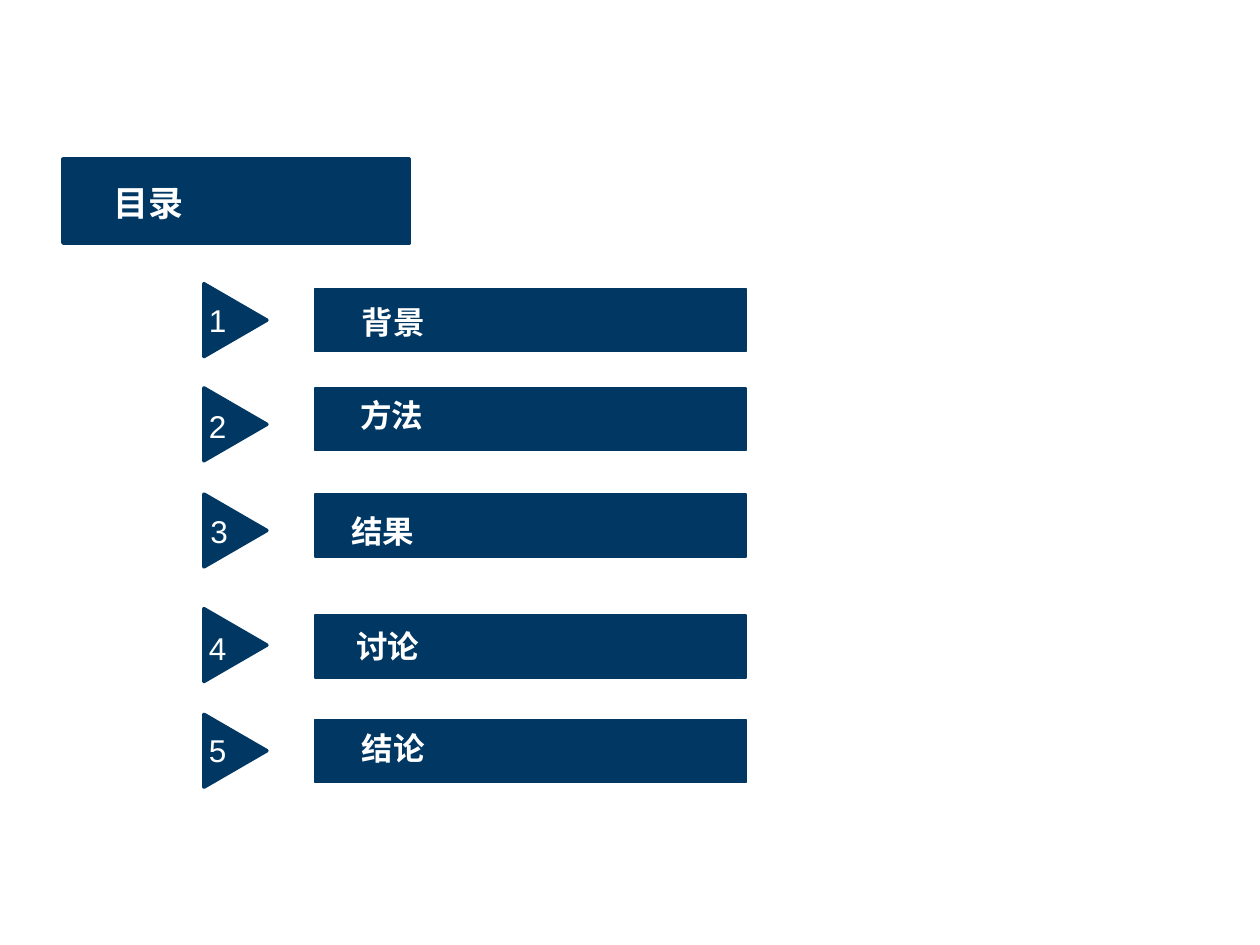
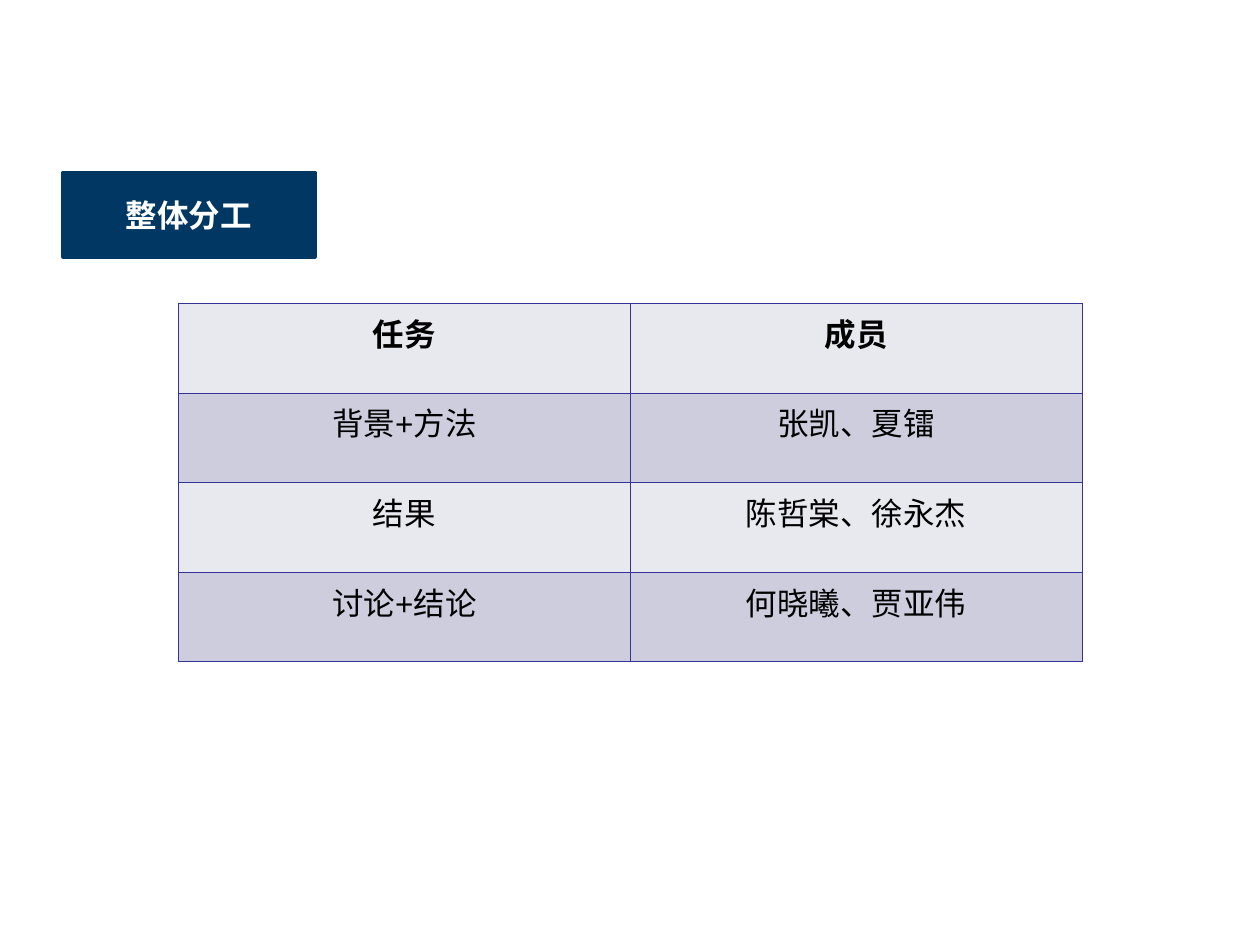
from dataclasses import dataclass

from lxml import etree
from pptx import Presentation
from pptx import util as u
from pptx.dml.color import RGBColor
from pptx.enum import lang, shapes, text
from pptx.oxml.ns import qn


@dataclass(frozen=True)
class Theme:
    navy: str = "003863"
    white: str = "FFFFFF"
    black: str = "000000"
    grid: str = "333399"
    row_fills: tuple[str, str] = ("E8E8EF", "CDCDDE")
    font: str = "Arial"
    body: float = 18
    heading: float = 20
    thick: float = 2
    thin: float = 0.75
    grid_width: float = 0.45


@dataclass(frozen=True)
class Box:
    left: float
    top: float
    width: float
    height: float

    def emu(self) -> tuple:
        return tuple(u.Cm(v) for v in (self.left, self.top, self.width, self.height))


@dataclass(frozen=True)
class AgendaItem:
    topic: str
    arrow_top: float
    bar_top: float
    number_left: float
    number_top: float
    topic_left: float
    topic_top: float


THEME = Theme()
BAND_LEFT, BAND_HEIGHT = 1.27, 1.7
AGENDA = (
    AgendaItem("背景", 5.82, 5.82, 3.96, 5.94, 7.04, 5.99),
    AgendaItem("方法", 7.92, 7.82, 3.96, 8.08, 7.01, 7.85),
    AgendaItem("结果", 10.06, 9.96, 3.99, 10.19, 6.83, 10.19),
    AgendaItem("讨论", 12.37, 12.4, 3.96, 12.55, 6.93, 12.52),
    AgendaItem("结论", 14.5, 14.5, 3.96, 14.61, 7.04, 14.58),
)
DUTIES = (
    ("任务", "成员"),
    ("背景+方法", "张凯、夏镭"),
    ("结果", "陈哲棠、徐永杰"),
    ("讨论+结论", "何晓曦、贾亚伟"),
)


def write(frame, words: str, color: str, size: float = THEME.body,
          bold: bool = False, centred: bool = False) -> None:
    paragraph = frame.paragraphs[0]
    paragraph.alignment = text.PP_ALIGN.CENTER if centred else text.PP_ALIGN.LEFT
    run = paragraph.add_run()
    run.text = words
    font = run.font
    font.name, font.size, font.bold = THEME.font, u.Pt(size), bold
    font.language_id = lang.MSO_LANGUAGE_ID.SIMPLIFIED_CHINESE
    font.color.rgb = RGBColor.from_string(color)


def add_block(slide, box: Box, line_width: float,
              kind=shapes.MSO_SHAPE.RECTANGLE, rotation: float = 0):
    block = slide.shapes.add_shape(kind, *box.emu())
    block.rotation = rotation
    block.shadow.inherit = False
    block.fill.solid()
    block.fill.fore_color.rgb = RGBColor.from_string(THEME.navy)
    block.line.color.rgb = RGBColor.from_string(THEME.navy)
    block.line.width = u.Pt(line_width)
    return block


def add_band(slide, top: float, width: float):
    return add_block(slide, Box(BAND_LEFT, top, width, BAND_HEIGHT), THEME.thick)


def add_label(slide, box: Box, words: str, size: float = THEME.body,
              bold: bool = False) -> None:
    frame = slide.shapes.add_textbox(*box.emu()).text_frame
    frame.word_wrap = True
    write(frame, words, THEME.white, size, bold)


def add_borders(cell) -> None:
    properties = cell._tc.get_or_add_tcPr()
    for position, side in enumerate(("lnL", "lnR", "lnT", "lnB")):
        line = etree.Element(qn(f"a:{side}"), w=str(u.Pt(THEME.grid_width)))
        fill = etree.SubElement(line, qn("a:solidFill"))
        etree.SubElement(fill, qn("a:srgbClr"), val=THEME.grid)
        properties.insert(position, line)


def build_agenda(slide) -> None:
    add_band(slide, 3.2, 6.99)
    add_label(slide, Box(2.03, 3.53, 4.65, 1.12), "目录", THEME.heading, bold=True)
    for number, item in enumerate(AGENDA, 1):
        add_block(slide, Box(4.01, item.arrow_top, 1.47, 1.27), THEME.thick,
                  shapes.MSO_SHAPE.FLOWCHART_EXTRACT, rotation=90)
        add_block(slide, Box(6.35, item.bar_top, 8.69, 1.27), THEME.thin)
        add_label(slide, Box(item.number_left, item.number_top, 2.84, 1.02), str(number))
        add_label(slide, Box(item.topic_left, item.topic_top, 5.66, 1.02),
                  item.topic, bold=True)


def build_duties(slide) -> None:
    duties = slide.shapes.add_table(len(DUTIES), len(DUTIES[0]),
                                    *Box(3.6, 6.12, 18.21, 7.22).emu()).table
    for row, entries in enumerate(DUTIES):
        for column, words in enumerate(entries):
            cell = duties.cell(row, column)
            cell.fill.solid()
            cell.fill.fore_color.rgb = RGBColor.from_string(THEME.row_fills[row % 2])
            add_borders(cell)
            write(cell.text_frame, words, THEME.black, bold=row == 0, centred=True)
    heading = add_band(slide, 3.48, 5.08).text_frame
    heading.vertical_anchor = text.MSO_ANCHOR.MIDDLE
    write(heading, "整体分工", THEME.white, bold=True, centred=True)


def main() -> None:
    deck = Presentation()
    deck.slide_width, deck.slide_height = u.Cm(25.4), u.Cm(19.05)
    for build in (build_agenda, build_duties):
        build(deck.slides.add_slide(deck.slide_layouts[6]))
    deck.save("out.pptx")


if __name__ == "__main__":
    main()
